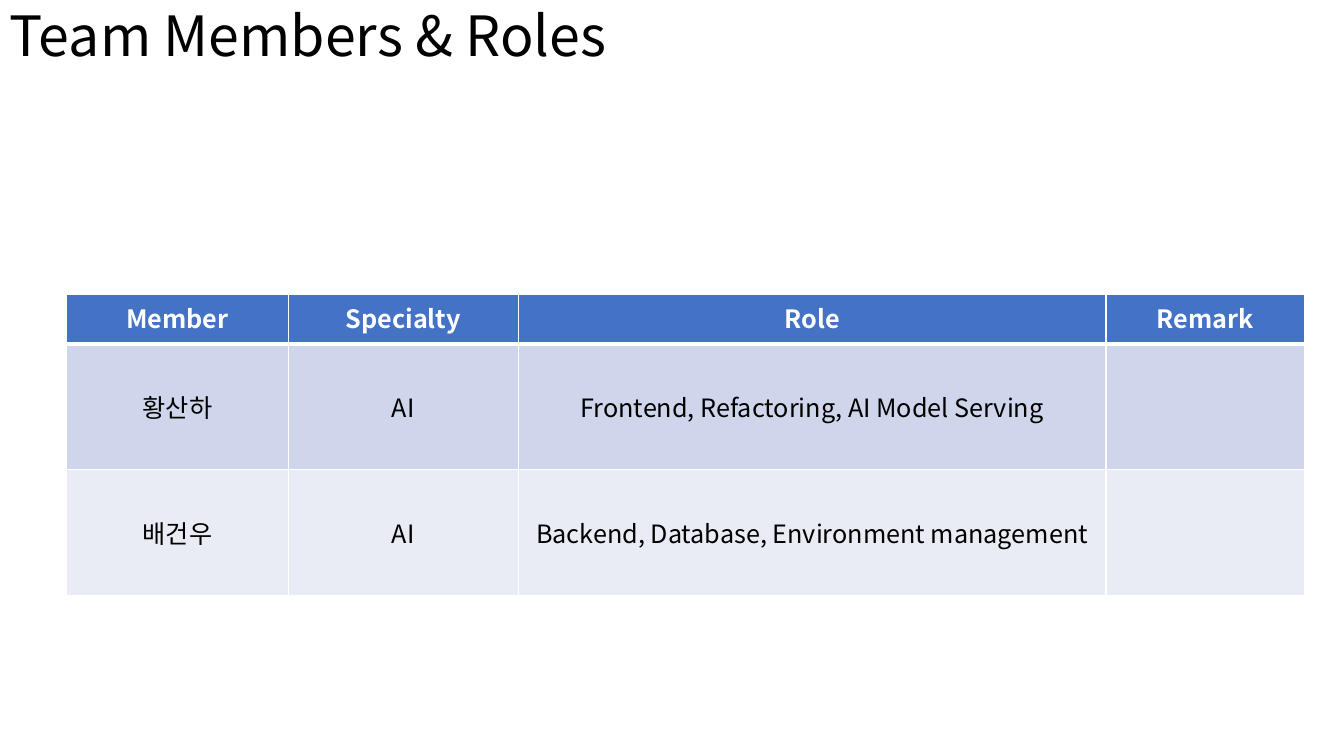
from lxml import etree
from pptx import Presentation
from pptx.dml.color import RGBColor
from pptx.enum import text
from pptx.oxml import ns
from pptx.util import Inches, Pt

FONT = "Noto Sans CJK KR"
COLORS = {"black": "000000", "white": "FFFFFF", "header": "4472C4",
          "odd": "CFD5EA", "even": "E9EBF5"}


def add_run(p, words, size, color, bold=False):
    r = p.add_run()
    r.text = words
    r.font.name = FONT
    r.font.size = Pt(size)
    r.font.bold = bold
    r.font.color.rgb = RGBColor.from_string(COLORS[color])
    # Korean letters take the East Asian font
    etree.SubElement(r.font._element, ns.qn("a:ea"), typeface=FONT)


def set_borders(cell, bottom):
    tcPr = cell._tc.get_or_add_tcPr()
    for i, (side, width) in enumerate([("L", 1), ("R", 1), ("T", 1), ("B", bottom)]):
        ln = etree.Element(ns.qn(f"a:ln{side}"), w=str(Pt(width)))
        fill = etree.SubElement(ln, ns.qn("a:solidFill"))
        etree.SubElement(fill, ns.qn("a:srgbClr"), val=COLORS["white"])
        tcPr.insert(i, ln)


prs = Presentation()
prs.slide_width, prs.slide_height = Inches(13.33), Inches(7.5)
s = prs.slides.add_slide(prs.slide_layouts[6])

# Title
tf = s.shapes.add_textbox(0, 0, Inches(13.33), Inches(0.76)).text_frame
tf.word_wrap = True
tf.vertical_anchor = text.MSO_ANCHOR.MIDDLE
p = tf.paragraphs[0]
p.line_spacing = 0.9
add_run(p, "Team Members & Roles", 39.6, "black")

# Team table
rows = [
    ("Member", "Specialty", "Role", "Remark"),
    ("황산하", "AI", "Frontend, Refactoring, AI Model Serving", ""),
    ("배건우", "AI", "Backend, Database, Environment management", ""),
]
widths = [2.2, 2.28, 5.83, 1.97]
heights = [0.49, 1.25, 1.25]
fills = ["header", "odd", "even"]
table = s.shapes.add_table(len(rows), len(widths), Inches(0.66), Inches(2.92),
                           Inches(sum(widths)), Inches(sum(heights))).table
for column, width in zip(table.columns, widths):
    column.width = Inches(width)

for i, row in enumerate(rows):
    header = i == 0
    table.rows[i].height = Inches(heights[i])
    for j, words in enumerate(row):
        cell = table.cell(i, j)
        cell.fill.solid()
        cell.fill.fore_color.rgb = RGBColor.from_string(COLORS[fills[i]])
        set_borders(cell, 3 if header else 1)
        cell.vertical_anchor = text.MSO_ANCHOR.TOP if header else text.MSO_ANCHOR.MIDDLE
        p = cell.text_frame.paragraphs[0]
        p.alignment = text.PP_ALIGN.CENTER
        if words:
            add_run(p, words, 18, "white" if header else "black", header)

prs.save("out.pptx")
